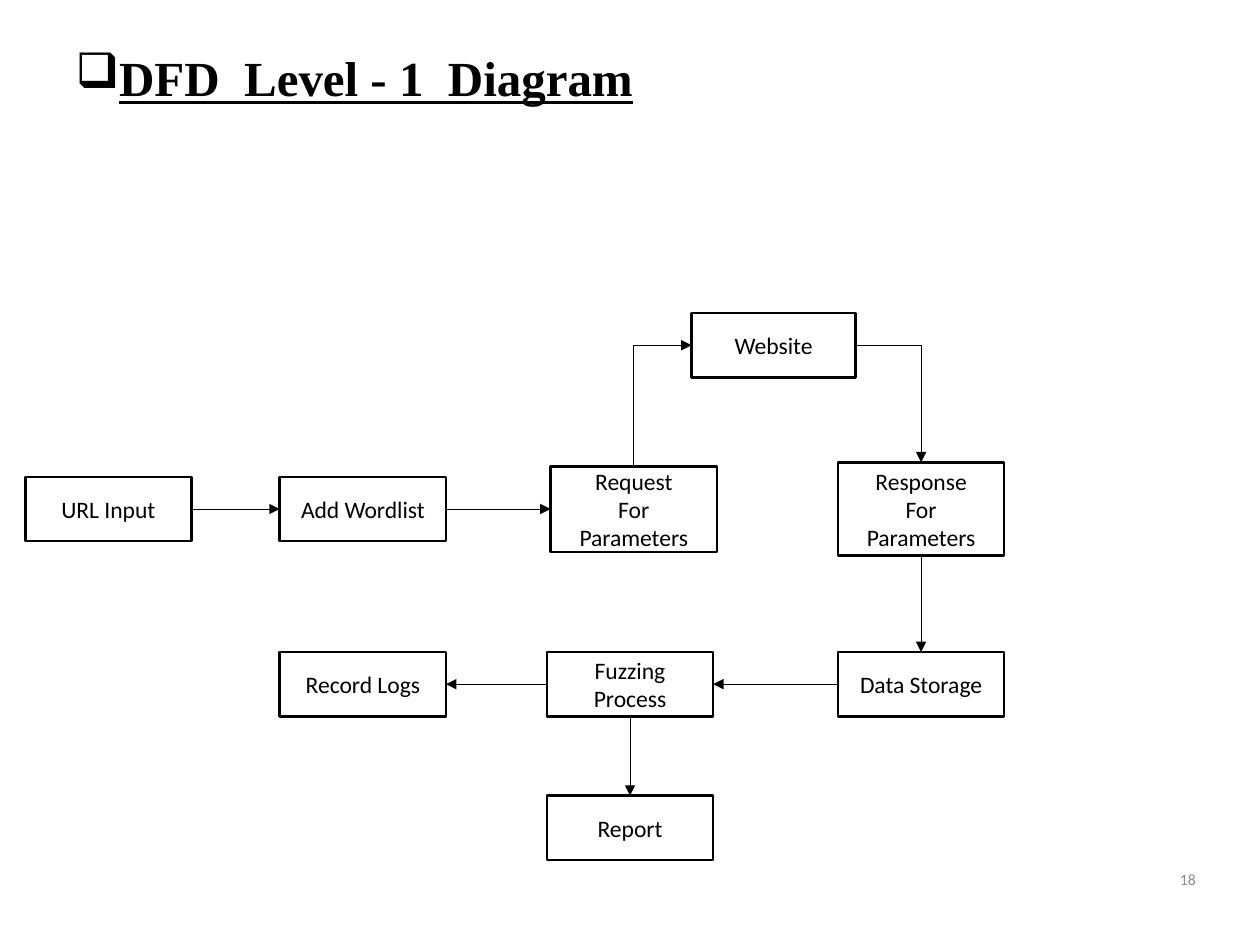
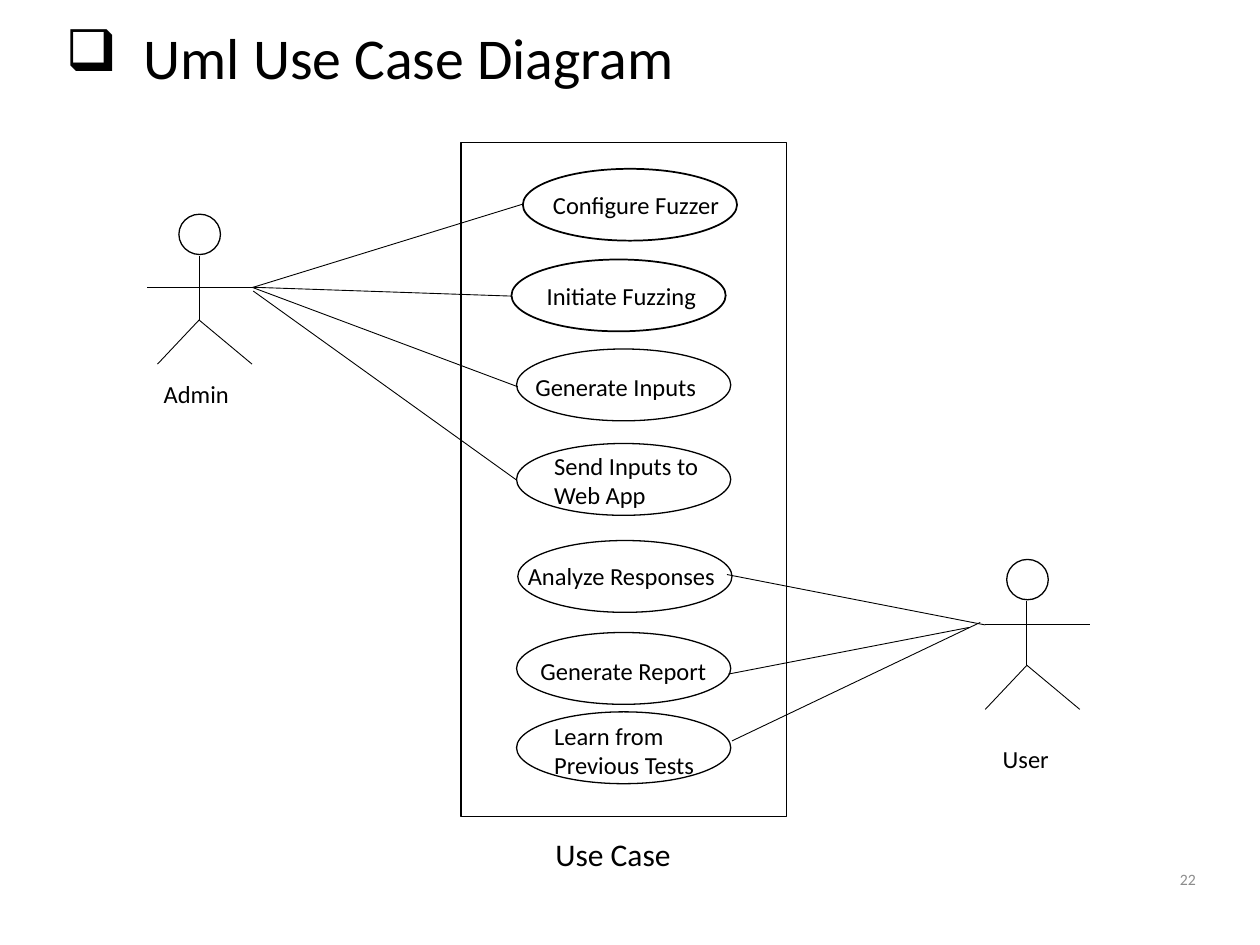
from dataclasses import dataclass
from typing import NamedTuple

from lxml import etree
from pptx import Presentation
from pptx.dml.color import RGBColor
from pptx.enum.shapes import MSO_CONNECTOR, MSO_SHAPE
from pptx.enum.text import MSO_ANCHOR, MSO_AUTO_SIZE, PP_ALIGN
from pptx.oxml.ns import qn
from pptx.util import Inches, Pt

RECT, OVAL = MSO_SHAPE.RECTANGLE, MSO_SHAPE.OVAL
STRAIGHT, ELBOW = MSO_CONNECTOR.STRAIGHT, MSO_CONNECTOR.ELBOW
TOP, MIDDLE = MSO_ANCHOR.TOP, MSO_ANCHOR.MIDDLE
LEFT, CENTER, RIGHT = PP_ALIGN.LEFT, PP_ALIGN.CENTER, PP_ALIGN.RIGHT
SIDE_TOP, SIDE_LEFT, SIDE_BOTTOM, SIDE_RIGHT = range(4)
TITLE_ONLY = 5
Point = tuple[float, float]


@dataclass(frozen=True)
class Theme:
    ink: RGBColor = RGBColor(0, 0, 0)
    paper: RGBColor = RGBColor(255, 255, 255)
    muted: RGBColor = RGBColor(0x8C, 0x8C, 0x8C)
    body_font: str = "Calibri"
    heading_font: str = "Times New Roman"
    heading: float = 28
    title: float = 33
    caption: float = 18
    label: float = 14
    box: float = 13.5
    page: float = 9
    thick: float = 1.5
    medium: float = 1
    outline: float = 0.75
    thin: float = 0.5


T = Theme()


class Box(NamedTuple):
    """A process box, placed by its centre."""
    text: str
    cx: float
    cy: float
    w: float = 1.32
    h: float = 0.51


class Flow(NamedTuple):
    start: str
    start_side: int
    end: str
    end_side: int
    kind: int = STRAIGHT
    arrow_at: str = "tail"


class Actor(NamedTuple):
    name: str
    cx: float
    top: float
    arm_left: float
    arm_y: float
    name_at: Point


class UseCase(NamedTuple):
    text: str
    at: Point
    text_at: Point
    link: tuple[Point, Point]
    weight: float = T.outline
    text_w: float = 1.75
    text_h: float = 0.34


# Shared helpers
def write(tf, text: str, size: float, align=LEFT, anchor=TOP, color=T.ink, **extra) -> None:
    tf.word_wrap = True
    tf.auto_size = MSO_AUTO_SIZE.NONE
    tf.vertical_anchor = anchor
    fmt = {"name": T.body_font, "size": Pt(size), **extra}
    for i, line in enumerate(text.split("\n")):
        p = tf.paragraphs[0] if i == 0 else tf.add_paragraph()
        p.alignment = align
        r = p.add_run()
        r.text = line
        for key, value in fmt.items():
            setattr(r.font, key, value)
        r.font.color.rgb = color


def place(sp, x: float, y: float, w: float, h: float) -> None:
    for key, value in {"left": x, "top": y, "width": w, "height": h}.items():
        setattr(sp, key, Inches(value))


def add_title(s, text: str, at: tuple, size: float, indent: float,
              anchor=TOP, spacing: float = 1.0, **extra) -> None:
    sp = s.shapes.title
    place(sp, *at)
    write(sp.text_frame, text, size, anchor=anchor, **extra)
    p = sp.text_frame.paragraphs[0]
    p.line_spacing = spacing
    pPr = p._p.get_or_add_pPr()
    pPr.set("marL", str(Inches(indent)))
    pPr.set("indent", str(-Inches(indent)))
    etree.SubElement(pPr, qn("a:buChar")).set("char", "❑")


def add_text(s, text: str, x: float, y: float, w: float, h: float, size: float, **style) -> None:
    tb = s.shapes.add_textbox(*map(Inches, (x, y, w, h)))
    write(tb.text_frame, text, size, **style)


def add_outline(s, kind, x: float, y: float, w: float, h: float, weight: float):
    sp = s.shapes.add_shape(kind, *map(Inches, (x, y, w, h)))
    sp.shadow.inherit = False
    sp.fill.solid()
    sp.fill.fore_color.rgb = T.paper
    sp.line.color.rgb = T.ink
    sp.line.width = Pt(weight)
    return sp


def add_line(s, start: Point, end: Point, kind=STRAIGHT):
    cn = s.shapes.add_connector(kind, *map(Inches, (*start, *end)))
    cn.line.color.rgb = T.ink
    cn.line.width = Pt(T.thin)
    etree.SubElement(cn._element.spPr, qn("a:effectLst"))
    return cn


def new_slide(prs, page: str):
    s = prs.slides.add_slide(prs.slide_layouts[TITLE_ONLY])
    add_text(s, page, 9.08, 6.83, 0.51, 0.3, T.page, align=RIGHT, anchor=MIDDLE, color=T.muted)
    return s


# Slide 1: data flow
COL_1, COL_2, COL_3, COL_4 = 0.86, 2.88, 5.0, 7.31
ROW_1, ROW_2, ROW_3, ROW_4 = 2.74, 4.04, 5.43, 6.57

BOXES = {
    "url": Box("URL Input", COL_1, ROW_2),
    "wordlist": Box("Add Wordlist", COL_2, ROW_2),
    "request": Box("Request\nFor\nParameters", COL_3 + 0.03, ROW_2, h=0.68),
    "website": Box("Website", 6.14, ROW_1, w=1.3),
    "response": Box("Response\nFor\nParameters", COL_4, ROW_2, h=0.74),
    "storage": Box("Data Storage", COL_4, ROW_3),
    "fuzzing": Box("Fuzzing\nProcess", COL_3, ROW_3),
    "logs": Box("Record Logs", COL_2, ROW_3),
    "report": Box("Report", COL_3, ROW_4),
}
FLOWS = [
    Flow("url", SIDE_RIGHT, "wordlist", SIDE_LEFT),
    Flow("wordlist", SIDE_RIGHT, "request", SIDE_LEFT),
    Flow("website", SIDE_LEFT, "request", SIDE_TOP, ELBOW, "head"),
    Flow("website", SIDE_RIGHT, "response", SIDE_TOP, ELBOW),
    Flow("response", SIDE_BOTTOM, "storage", SIDE_TOP),
    Flow("storage", SIDE_LEFT, "fuzzing", SIDE_RIGHT),
    Flow("fuzzing", SIDE_LEFT, "logs", SIDE_RIGHT),
    Flow("fuzzing", SIDE_BOTTOM, "report", SIDE_TOP),
]


def side_point(b: Box, side: int) -> Point:
    dx, dy = ((0, -1), (-1, 0), (0, 1), (1, 0))[side]
    return b.cx + dx * b.w / 2, b.cy + dy * b.h / 2


def add_box(s, b: Box):
    sp = add_outline(s, RECT, b.cx - b.w / 2, b.cy - b.h / 2, b.w, b.h, T.thick)
    write(sp.text_frame, b.text, T.box, align=CENTER, anchor=MIDDLE)
    return sp


def add_flow(s, f: Flow, shapes: dict) -> None:
    cn = add_line(s, side_point(BOXES[f.start], f.start_side),
                  side_point(BOXES[f.end], f.end_side), f.kind)
    cn.begin_connect(shapes[f.start], f.start_side)
    cn.end_connect(shapes[f.end], f.end_side)
    spPr = cn._element.spPr
    if f.kind == ELBOW:  # a single corner
        spPr.find(qn("a:prstGeom")).set("prst", "bentConnector2")
    etree.SubElement(spPr.find(qn("a:ln")), qn(f"a:{f.arrow_at}End")).set("type", "triangle")


def build_data_flow(prs) -> None:
    s = new_slide(prs, "18")
    add_title(s, "DFD  Level - 1  Diagram", (0.5, 0.33, 5.92, 0.57), T.heading, 0.28,
              name=T.heading_font, bold=True, underline=True)
    shapes = {key: add_box(s, b) for key, b in BOXES.items()}
    for f in FLOWS:
        add_flow(s, f, shapes)


# Slide 2: use cases
ACTORS = [
    Actor("Admin", 1.58, 1.7, 1.17, 2.28, (1.2, 2.96)),
    Actor("User", 8.15, 4.44, 7.82, 4.96, (7.86, 5.86)),
]
USE_CASES = [
    UseCase("Configure Fuzzer", (4.15, 1.34), (4.29, 1.46), ((2.01, 2.28), (4.15, 1.62)), T.medium),
    UseCase("Initiate Fuzzing", (4.06, 2.06), (4.24, 2.18), ((2.01, 2.28), (4.06, 2.35)), T.medium),
    UseCase("Generate Inputs", (4.1, 2.77), (4.15, 2.9), ((2, 2.28), (4.11, 3.07))),
    UseCase("Send Inputs to Web App", (4.1, 3.52), (4.3, 3.53), ((2.01, 2.31), (4.1, 3.81)),
            text_w=1.6, text_h=0.57),
    UseCase("Analyze Responses", (4.11, 4.29), (4.09, 4.4), ((7.82, 4.96), (5.77, 4.56))),
    UseCase("Generate Report", (4.1, 5.02), (4.19, 5.16), ((7.69, 4.98), (5.78, 5.35))),
    UseCase("Learn from Previous Tests", (4.1, 5.65), (4.3, 5.67), ((7.78, 4.94), (5.81, 5.88)),
            text_w=1.56, text_h=0.57),
]


def add_actor(s, a: Actor) -> None:
    neck, hip = (a.cx, a.top + 0.33), (a.cx, a.top + 0.84)
    add_outline(s, OVAL, a.cx - 0.16, a.top, 0.33, 0.32, T.outline)
    add_line(s, neck, hip)
    for dx in (-0.33, 0.42):
        add_line(s, hip, (a.cx + dx, hip[1] + 0.35))
    add_line(s, (a.arm_left, a.arm_y), (a.arm_left + 0.83, a.arm_y))
    add_text(s, a.name, *a.name_at, 1.15, 0.34, T.label)


def add_use_case(s, u: UseCase) -> None:
    add_outline(s, OVAL, *u.at, 1.7, 0.57, u.weight)
    add_text(s, u.text, *u.text_at, u.text_w, u.text_h, T.label)
    add_line(s, *u.link)


def build_use_cases(prs) -> None:
    s = new_slide(prs, "22")
    add_title(s, "Uml Use Case Diagram", (0.42, 0, 9, 0.97), T.title, 0.62,
              anchor=MIDDLE, spacing=0.9)
    add_outline(s, RECT, 3.66, 1.13, 2.58, 5.35, T.outline)
    add_text(s, "Use Case", 4.31, 6.58, 1.6, 0.4, T.caption)
    for a in ACTORS:
        add_actor(s, a)
    for u in USE_CASES:
        add_use_case(s, u)


def main() -> None:
    prs = Presentation()
    prs.slide_width, prs.slide_height = Inches(10), Inches(7.5)
    build_data_flow(prs)
    build_use_cases(prs)
    prs.save("out.pptx")


if __name__ == "__main__":
    main()
